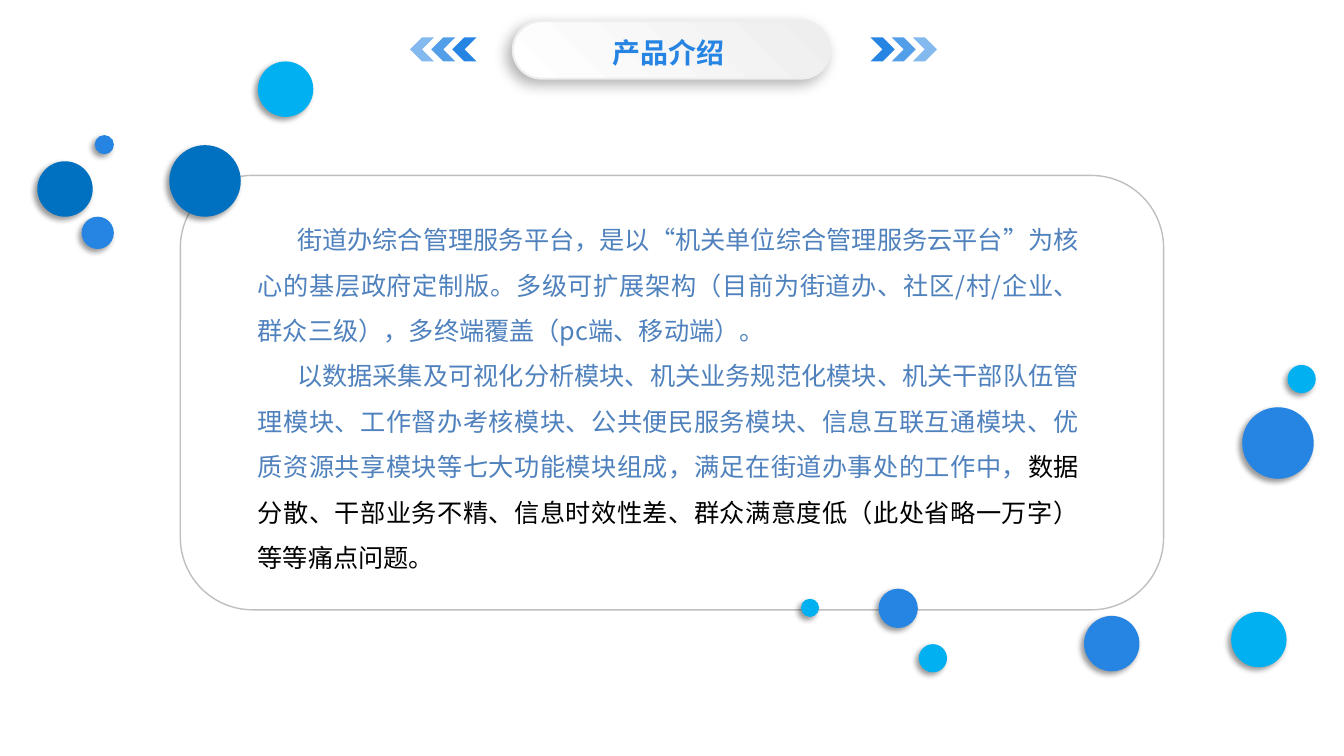
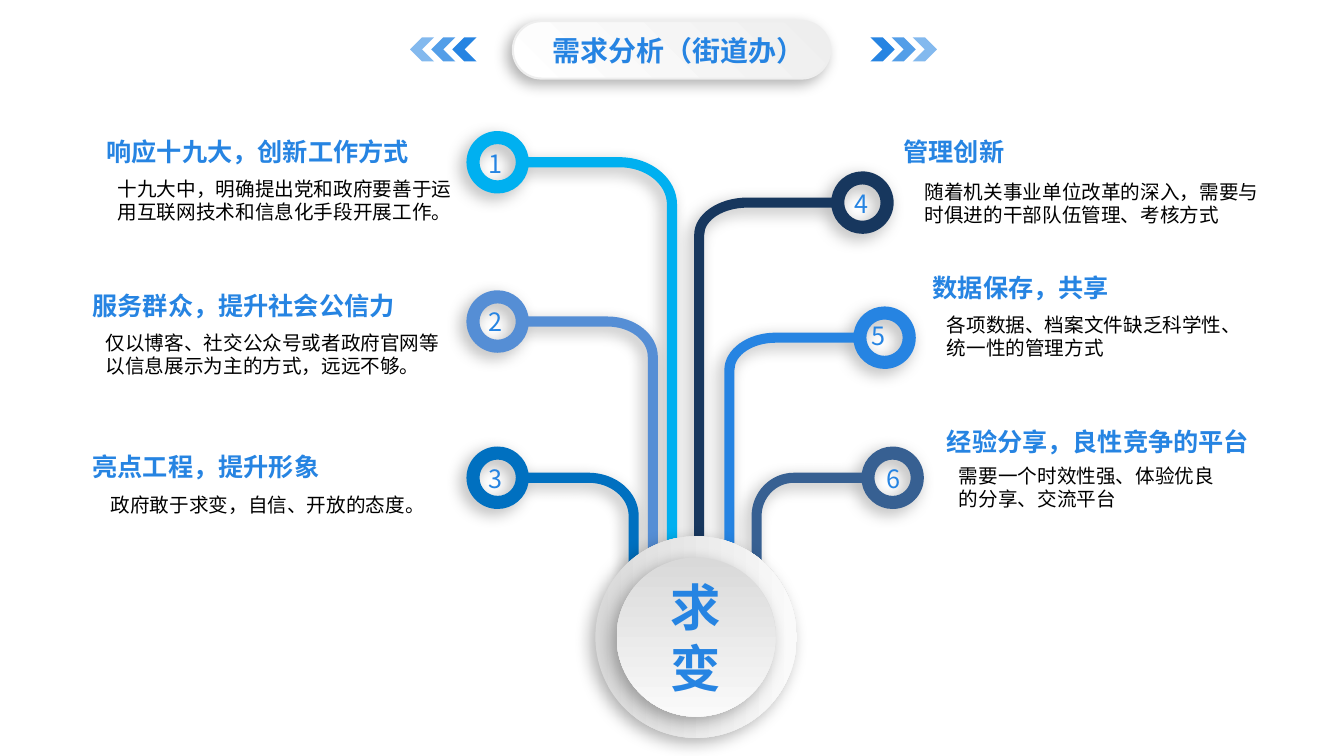
from math import asin, cos, pi, sin, tan

from lxml import etree
from pptx import Presentation
from pptx.dml.color import RGBColor
from pptx.enum import shapes, text
from pptx.oxml.ns import qn
from pptx.util import Emu, Inches, Pt

COLORS = {
    "sky": "00B0F0", "ocean": "0070C0", "blue": "2684E2", "steel": "4F81BD",
    "soft": "558ED5", "navy": "17375E", "slate": "376092", "black": "000000",
    "outline": "BFBFBF", "pearl": "EEEEEE", "white": "FFFFFF",
    "grey": "D9D9D9", "mist": "FAFAFA",
}
FONT = "Noto Sans CJK SC"
TITLE_FONT = "Roboto Condensed"
SHAPE = shapes.MSO_SHAPE

# opacity %, blur pt, distance pt
DOT_SHADOW = (40, 4, 3)
PILL_SHADOW = (30, 10, 5)
DEEP_SHADOW = (30, 12, 5)

INTRO_TITLE = ("产品介绍", (5.49, 0.31, 2.3, 0.41), FONT)
INTRO = [
    [("街道办综合管理服务平台，是以“机关单位综合管理服务云平台”为核心的基层政府定制版。"
      "多级可扩展架构（目前为街道办、社区/村/企业、群众三级），多终端覆盖（pc端、移动端）。", "steel")],
    [("以数据采集及可视化分析模块、机关业务规范化模块、机关干部队伍管理模块、工作督办考核模块、"
      "公共便民服务模块、信息互联互通模块、优质资源共享模块等七大功能模块组成，"
      "满足在街道办事处的工作中，", "steel"),
     ("数据分散、干部业务不精、信息时效性差、群众满意度低（此处省略一万字）等等痛点问题。", "black")],
]
# left, top, diameter, colour
DOTS = [
    (2.56, 0.61, 0.55, "sky"), (1.68, 1.44, 0.71, "ocean"), (0.37, 1.6, 0.55, "ocean"),
    (0.81, 2.15, 0.32, "blue"), (0.94, 1.34, 0.19, "blue"), (8.72, 5.84, 0.39, "blue"),
    (10.76, 6.11, 0.55, "blue"), (12.22, 6.07, 0.55, "sky"), (12.33, 4.04, 0.71, "blue"),
    (9.12, 6.39, 0.28, "sky"), (12.78, 3.62, 0.28, "sky"), (7.95, 5.94, 0.18, "sky"),
]

NEEDS_TITLE = ("需求分析（街道办）", (5.23, 0.29, 3.01, 0.41), TITLE_FONT)
HUB = "求变"
# ring: centre; bend: centre of the corner; stem: x and bottom
NEEDS = [
    dict(number="4", at=(8.38, 1.82), color="navy", ring=(8.56, 2.01), bend=(7.42, 2.33),
         stem=(6.94, 5.69), heading="管理创新", heading_at=(8.87, 1.3),
         body="随着机关事业单位改革的深入，需要与时俱进的干部队伍管理、考核方式",
         body_box=(9.08, 1.73, 3.69, 0.57)),
    dict(number="1", at=(4.75, 1.42), color="sky", ring=(4.94, 1.61), bend=(6.15, 2.03),
         stem=(6.67, 6.04), heading="响应十九大，创新工作方式", heading_at=(0.96, 1.3),
         body="十九大中，明确提出党和政府要善于运用互联网技术和信息化手段开展工作。",
         body_box=(1.07, 1.7, 3.57, 0.57)),
    dict(number="2", at=(4.75, 2.99), color="soft", ring=(4.94, 3.19), bend=(6.03, 3.54),
         stem=(6.48, 6.03), heading="服务群众，提升社会公信力", heading_at=(0.82, 2.83),
         body="仅以博客、社交公众号或者政府官网等以信息展示为主的方式，远远不够。",
         body_box=(0.95, 3.23, 3.69, 0.57)),
    dict(number="3", at=(4.75, 4.55), color="ocean", ring=(4.94, 4.74), bend=(5.84, 5.12),
         stem=(6.29, 6.03), heading="亮点工程，提升形象", heading_at=(0.82, 4.43),
         body="政府敢于求变，自信、开放的态度。", body_box=(1, 4.84, 3.52, 0.34)),
    dict(number="5", at=(8.55, 3.13), color="blue", ring=(8.78, 3.35), bend=(7.7, 3.67),
         stem=(7.24, 6.96), heading="数据保存，共享", heading_at=(9.16, 2.65),
         body="各项数据、档案文件缺乏科学性、统一性的管理方式",
         body_box=(9.3, 3.05, 3.05, 0.57)),
    dict(number="6", at=(8.7, 4.55), color="slate", ring=(8.86, 4.74), bend=(7.88, 5.12),
         stem=(7.51, 6.78), heading="经验分享，良性竞争的平台", heading_at=(9.3, 4.18),
         body="需要一个时效性强、体验优良的分享、交流平台",
         body_box=(9.42, 4.55, 2.82, 0.57)),
]
RING_RADIUS, HOLE_RADIUS, HALF_BAND = 0.31, 0.18, 0.05


def rgb(name):
    return RGBColor.from_string(COLORS[name])


def add_alpha(color_element, percent):
    etree.SubElement(color_element, qn("a:alpha"), val=str(percent * 1000))


def finish(shape, fill=None, shadow=None, line=None):
    """Fill is a colour name or (start, end, clockwise angle); line is (colour, points)."""
    shape.shadow.inherit = False
    if fill is None:
        shape.fill.background()
    elif isinstance(fill, str):
        shape.fill.solid()
        shape.fill.fore_color.rgb = rgb(fill)
    else:
        *ends, angle = fill
        shape.fill.gradient()
        shape.fill.gradient_angle = -angle % 360
        for stop, name, position in zip(shape.fill.gradient_stops, ends, (0, 1)):
            stop.color.rgb = rgb(name)
            stop.position = position
    if line:
        shape.line.color.rgb = rgb(line[0])
        shape.line.width = Pt(line[1])
    else:
        shape.line.fill.background()
    if shadow:
        opacity, blur, distance = shadow
        effects = shape._element.spPr.find(qn("a:effectLst"))
        outer = etree.SubElement(effects, qn("a:outerShdw"), blurRad=str(Pt(blur)),
                                 dist=str(Pt(distance)), dir=str(135 * 60000),
                                 algn="tr", rotWithShape="0")
        add_alpha(etree.SubElement(outer, qn("a:srgbClr"), val=COLORS["black"]), opacity)
    return shape


def add_preset(parent, kind, box, **look):
    return finish(parent.shapes.add_shape(kind, *map(Inches, box)), **look)


def add_run(paragraph, words, size, color, bold=False, font=FONT):
    run = paragraph.add_run()
    run.text = words
    for name, value in dict(size=Pt(size), bold=bold, name=font).items():
        setattr(run.font, name, value)
    run.font.color.rgb = rgb(color)
    latin = run._r.rPr.find(qn("a:latin"))
    latin.addnext(etree.Element(qn("a:ea"), typeface=FONT))


def add_text_frame(slide, box, **settings):
    frame = slide.shapes.add_textbox(*map(Inches, box)).text_frame
    defaults = dict(word_wrap=True, auto_size=text.MSO_AUTO_SIZE.SHAPE_TO_FIT_TEXT)
    for name, value in {**defaults, **settings}.items():
        setattr(frame, name, value)
    return frame


def add_title(slide, words, box, font):
    pill = add_preset(slide, SHAPE.ROUNDED_RECTANGLE, (5.09, 0.21, 3.15, 0.57),
                      fill=("pearl", "white", 135), shadow=PILL_SHADOW, line=("pearl", 1.5))
    pill.adjustments[0] = 0.5
    for start, step, rotation in ((8.64, 0.21, 0), (4.49, -0.21, 180)):
        arrows = slide.shapes.add_group_shape()
        for i, opacity in enumerate((100, 79, 57)):
            chevron = add_preset(arrows, SHAPE.CHEVRON, (start + i * step, 0.37, 0.24, 0.24),
                                 fill="blue")
            chevron.rotation = rotation
            add_alpha(chevron._element.spPr.find(qn("a:solidFill"))[0], opacity)
    side, edge = Inches(0.07), Inches(0.04)
    frame = add_text_frame(slide, box, margin_left=side, margin_right=side,
                           margin_top=edge, margin_bottom=edge)
    title = frame.paragraphs[0]
    title.alignment = text.PP_ALIGN.CENTER
    add_run(title, words, 20, "blue", True, font)


def straight(x, y):
    """A straight side as a cubic curve: two controls and the end."""
    return [(x, y)] * 3


def arc(center, rx, ry, *angles):
    """A straight side to the first angle, then one cubic curve to each next angle."""
    def point(angle, pull=0):
        return (center[0] + rx * (cos(angle) - pull * sin(angle)),
                center[1] + ry * (sin(angle) + pull * cos(angle)))

    points = straight(*point(angles[0]))
    for start, end in zip(angles, angles[1:]):
        pull = 4 / 3 * tan((end - start) / 4)
        points += [point(start, pull), point(end, -pull), point(end)]
    return points


def curve_sides(shape):
    """Turn every three straight segments into one cubic curve."""
    sides = list(shape._element.iter(qn("a:lnTo")))
    for i in range(0, len(sides), 3):
        curve = etree.Element(qn("a:cubicBezTo"))
        sides[i].addprevious(curve)
        for side in sides[i:i + 3]:
            curve.append(side[0])
            side.getparent().remove(side)


def add_branch(slide, ring, bend, stem, color):
    """A ring whose band turns down through a rounded corner into a stem."""
    stem_x, bottom = stem
    side = 1 if stem_x > ring[0] else -1
    joint = asin(HALF_BAND / RING_RADIUS)
    rx, ry = abs(stem_x - bend[0]), bend[1] - ring[1]
    half = HALF_BAND
    outline = arc(ring, side * RING_RADIUS, RING_RADIUS,
                  joint, pi / 2, pi, 3 * pi / 2, 2 * pi - joint)
    outline += arc(bend, side * (rx + half), ry + half, -pi / 2, 0)
    outline += straight(stem_x + side * half, bottom) + straight(stem_x - side * half, bottom)
    outline += arc(bend, side * (rx - half), ry - half, 0, -pi / 2)
    hole = arc(ring, side * HOLE_RADIUS, HOLE_RADIUS, 2 * pi, 3 * pi / 2, pi, pi / 2, 0)
    outline, hole = ([(Inches(x), Inches(y)) for x, y in points] for points in (outline, hole))
    builder = slide.shapes.build_freeform(*outline[0], scale=1.0)
    builder.add_line_segments(outline[3:], close=True)
    builder.move_to(*hole[0])
    builder.add_line_segments(hole[3:], close=True)
    branch = builder.convert_to_shape(Emu(0), Emu(0))
    curve_sides(branch)
    finish(branch, fill=color, shadow=DEEP_SHADOW)


def build_intro(slide):
    add_preset(slide, SHAPE.ROUNDED_RECTANGLE, (1.79, 1.74, 9.76, 4.31), line=("outline", 1))
    for left, top, size, color in DOTS:
        add_preset(slide, SHAPE.OVAL, (left, top, size, size), fill=color, shadow=DOT_SHADOW)
    frame = add_text_frame(slide, (2.46, 2.03, 8.35, 3.73))
    for i, runs in enumerate(INTRO):
        paragraph = frame.add_paragraph() if i else frame.paragraphs[0]
        paragraph.alignment = text.PP_ALIGN.JUSTIFY
        paragraph.line_spacing = 1.5
        paragraph._p.get_or_add_pPr().set("indent", str(Inches(0.39)))
        for words, color in runs:
            add_run(paragraph, words, 18, color)
    add_title(slide, *INTRO_TITLE)


def build_needs(slide):
    add_title(slide, *NEEDS_TITLE)
    for need in NEEDS:
        add_branch(slide, need["ring"], need["bend"], need["stem"], need["color"])
    for need in NEEDS:
        number = add_text_frame(slide, (*need["at"], 0.37, 0.4))
        add_run(number.paragraphs[0], need["number"], 18, "blue")
        width = 0.2 + 0.25 * len(need["heading"])
        heading = add_text_frame(slide, (*need["heading_at"], width, 0.4), word_wrap=False)
        add_run(heading.paragraphs[0], need["heading"], 18, "blue", True)
        body = add_text_frame(slide, need["body_box"], vertical_anchor=text.MSO_ANCHOR.MIDDLE)
        add_run(body.paragraphs[0], need["body"], 14, "black")
    for left, top, size, angle in ((5.91, 5.32, 2, 0), (6.12, 5.53, 1.58, 90)):
        disc = add_preset(slide, SHAPE.OVAL, (left, top, size, size),
                          fill=("grey", "mist", angle), shadow=DEEP_SHADOW)
    disc.text_frame.word_wrap = True
    disc.text_frame.vertical_anchor = text.MSO_ANCHOR.MIDDLE
    hub = disc.text_frame.paragraphs[0]
    hub.alignment = text.PP_ALIGN.CENTER
    add_run(hub, HUB, 36, "blue", True)


def main():
    deck = Presentation()
    deck.slide_width, deck.slide_height = Inches(13.34), Inches(7.5)
    for build in (build_intro, build_needs):
        build(deck.slides.add_slide(deck.slide_layouts[6]))
    deck.save("out.pptx")


if __name__ == "__main__":
    main()
